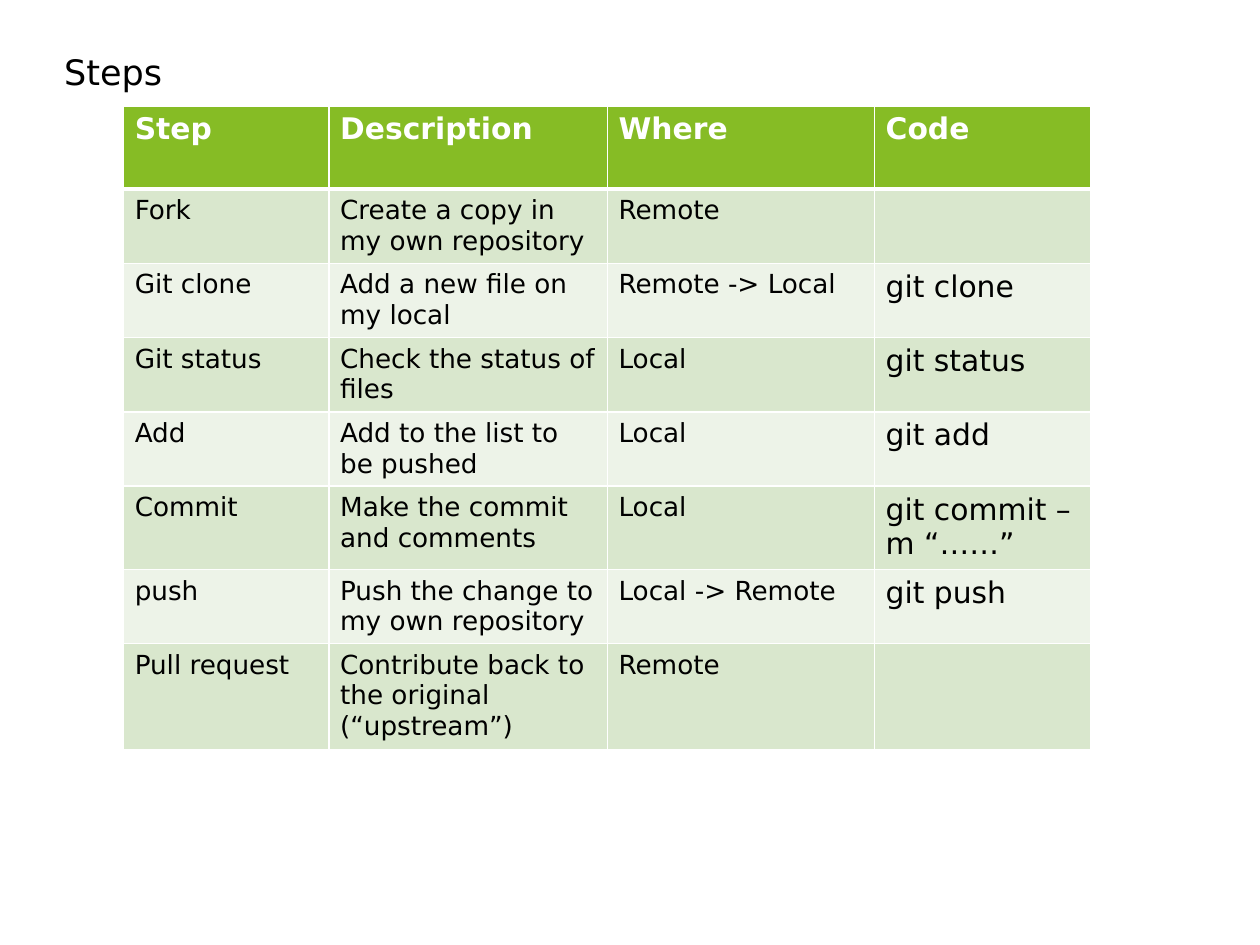
from dataclasses import dataclass

from lxml import etree
from pptx import Presentation
from pptx.dml.color import RGBColor
from pptx.enum.text import MSO_ANCHOR, MSO_AUTO_SIZE, PP_ALIGN
from pptx.oxml.ns import qn
from pptx.util import Inches, Pt

TOP = MSO_ANCHOR.TOP
LEFT = PP_ALIGN.LEFT
NO_AUTOFIT = MSO_AUTO_SIZE.NONE
TITLE_ONLY = 5


@dataclass(frozen=True)
class Theme:
    font: str = "DejaVu Sans"
    ink: str = "000000"
    white: str = "FFFFFF"
    header: str = "86BC25"
    bands: tuple[str, str] = ("D9E7CD", "EDF3E8")
    title_size: int = 20
    large_size: int = 17
    body_size: int = 15
    thin_line: int = 1
    thick_line: int = 3


@dataclass(frozen=True)
class Step:
    name: str
    description: str
    where: str
    code: str = ""
    height: float = 0.59

    def values(self) -> tuple[str, str, str, str]:
        return self.name, self.description, self.where, self.code


THEME = Theme()
COLUMN_WIDTHS = (1.63, 2.21, 2.12, 1.72)
CODE_COLUMN = 3
ROWS = (
    Step("Step", "Description", "Where", "Code", 0.66),
    Step("Fork", "Create a copy in my own repository", "Remote"),
    Step("Git clone", "Add a new file on my local", "Remote -> Local", "git clone"),
    Step("Git status", "Check the status of files", "Local", "git status"),
    Step("Add", "Add to the list to be pushed", "Local", "git add"),
    Step("Commit", "Make the commit and comments", "Local", "git commit –m “……”", 0.66),
    Step("push", "Push the change to my own repository", "Local -> Remote", "git push"),
    Step("Pull request", "Contribute back to the original (“upstream”)", "Remote", height=0.84),
)


def style_text(frame, size: int, color: str, bold: bool = False) -> None:
    for para in frame.paragraphs:
        para.alignment = LEFT
        for span in para.runs:
            span.font.name = THEME.font
            span.font.size = Pt(size)
            span.font.bold = bold
            span.font.color.rgb = RGBColor.from_string(color)


def add_borders(cell, top: int, bottom: int) -> None:
    properties = cell._tc.get_or_add_tcPr()
    sides = {"L": THEME.thin_line, "R": THEME.thin_line, "T": top, "B": bottom}
    for side, width in sides.items():
        line = etree.SubElement(properties, qn(f"a:ln{side}"), w=str(Pt(width)))
        fill = etree.SubElement(line, qn("a:solidFill"))
        etree.SubElement(fill, qn("a:srgbClr"), val=THEME.white)


def fill_cell(cell, text: str, row: int, column: int) -> None:
    is_header = row == 0
    cell.margin_left = cell.margin_right = Inches(0.09)
    cell.margin_top = cell.margin_bottom = Inches(0.05)
    add_borders(
        cell,
        top=THEME.thick_line if row == 1 else THEME.thin_line,
        bottom=THEME.thick_line if is_header else THEME.thin_line,
    )
    cell.fill.solid()
    color = THEME.header if is_header else THEME.bands[(row - 1) % 2]
    cell.fill.fore_color.rgb = RGBColor.from_string(color)
    if text:
        cell.text_frame.text = text
        is_large = is_header or column == CODE_COLUMN
        style_text(
            cell.text_frame,
            THEME.large_size if is_large else THEME.body_size,
            THEME.white if is_header else THEME.ink,
            is_header,
        )


def add_steps_table(page) -> None:
    table = page.shapes.add_table(
        len(ROWS), len(COLUMN_WIDTHS), Inches(0.98), Inches(0.84),
        Inches(sum(COLUMN_WIDTHS)), Inches(sum(step.height for step in ROWS)),
    ).table
    for column, width in enumerate(COLUMN_WIDTHS):
        table.columns[column].width = Inches(width)
    for row, step in enumerate(ROWS):
        table.rows[row].height = Inches(step.height)
        for column, text in enumerate(step.values()):
            fill_cell(table.cell(row, column), text, row, column)


def set_title(page, text: str) -> None:
    title = page.shapes.title
    title.left, title.top = Inches(0.41), Inches(0.35)
    title.width, title.height = Inches(9.17), Inches(0.76)
    frame = title.text_frame
    frame.text = text
    frame.word_wrap = True
    frame.auto_size = NO_AUTOFIT
    frame.vertical_anchor = TOP
    style_text(frame, THEME.title_size, THEME.ink)


def main() -> None:
    deck = Presentation()
    deck.slide_width, deck.slide_height = Inches(10), Inches(7.5)
    page = deck.slides.add_slide(deck.slide_layouts[TITLE_ONLY])
    set_title(page, "Steps")
    add_steps_table(page)
    deck.save("out.pptx")


if __name__ == "__main__":
    main()
